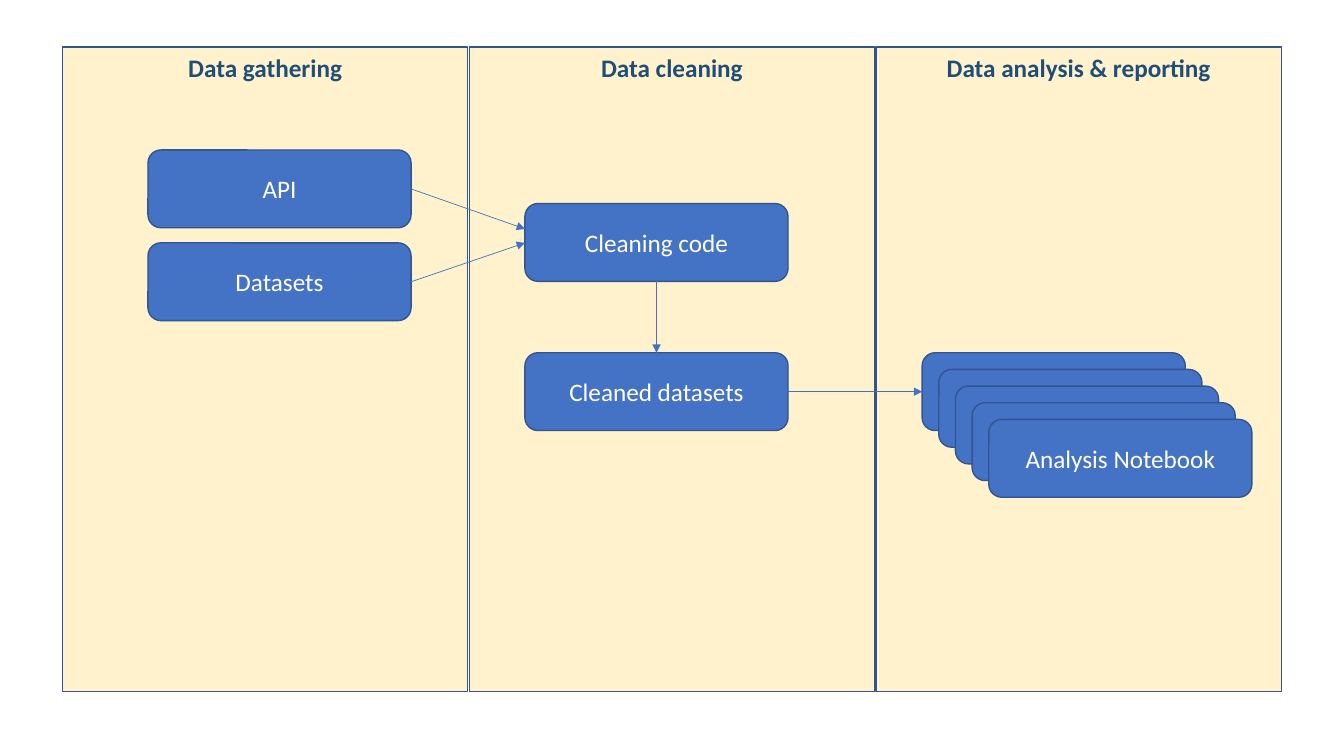
import pptx
import pptx.util
import pptx.dml.color
import pptx.enum.shapes
import pptx.enum.text
import pptx.oxml
import pptx.oxml.ns

Cm = pptx.util.Cm
Pt = pptx.util.Pt
SHAPE = pptx.enum.shapes.MSO_SHAPE
ANCHOR = pptx.enum.text.MSO_ANCHOR

FONT = "Calibri"
BLUE, OUTLINE, CREAM = "4472C4", "325491", "FFF2CC"
NAVY, WHITE = "1F4E79", "FFFFFF"

STAGES = ["Data gathering", "Data cleaning", "Data analysis & reporting"]
STAGE_LEFT, STAGE_TOP, STAGE_W, STAGE_H, STAGE_PITCH = 1.58, 1.19, 10.21, 16.23, 10.25
BOX_W, BOX_H = 6.63, 1.96
GATHER_X, CLEAN_X, ANALYSIS_X = 3.73, 13.23, 23.24
NOTEBOOKS, NOTEBOOK_STEP = 5, 0.42
BOTTOM, RIGHT = 2, 3
TOP, LEFT = 0, 1


def rgb(color):
    return pptx.dml.color.RGBColor.from_string(color)


def add_block(slide, kind, x, y, w, h, fill, text, color, anchor, bold=False):
    sp = slide.shapes.add_shape(kind, Cm(x), Cm(y), Cm(w), Cm(h))
    sp.shadow.inherit = False
    sp.fill.solid()
    sp.fill.fore_color.rgb = rgb(fill)
    sp.line.color.rgb = rgb(OUTLINE)
    sp.line.width = Pt(1)
    if text:
        tf = sp.text_frame
        tf.text = text
        tf.word_wrap = True
        tf.vertical_anchor = anchor
        p = tf.paragraphs[0]
        p.alignment = pptx.enum.text.PP_ALIGN.CENTER
        font = p.runs[0].font
        font.name = FONT
        font.size = Pt(18)
        font.bold = bold
        font.color.rgb = rgb(color)
    return sp


def add_stage(slide, x, title):
    return add_block(slide, SHAPE.RECTANGLE, x, STAGE_TOP, STAGE_W, STAGE_H,
                     CREAM, title, NAVY, ANCHOR.TOP, bold=True)


def add_box(slide, x, y, text=""):
    return add_block(slide, SHAPE.ROUNDED_RECTANGLE, x, y, BOX_W, BOX_H,
                     BLUE, text, WHITE, ANCHOR.MIDDLE)


def add_arrow(slide, start, site, x, y):
    line = slide.shapes.add_connector(
        pptx.enum.shapes.MSO_CONNECTOR.STRAIGHT, 0, 0, Cm(x), Cm(y))
    line.begin_connect(start, site)
    line.line.color.rgb = rgb(BLUE)
    line.line.width = Pt(0.5)
    ln = line.line._get_or_add_ln()
    tail = pptx.oxml.parse_xml(
        '<a:tailEnd %s type="triangle"/>' % pptx.oxml.ns.nsdecls("a"))
    ln.append(tail)
    effects = pptx.oxml.parse_xml(
        "<a:effectLst %s/>" % pptx.oxml.ns.nsdecls("a"))
    ln.addnext(effects)
    return line


def main():
    prs = pptx.Presentation()
    prs.slide_width, prs.slide_height = Cm(33.87), Cm(19.05)
    slide = prs.slides.add_slide(prs.slide_layouts[6])

    for i, title in enumerate(STAGES):
        add_stage(slide, STAGE_LEFT + i * STAGE_PITCH, title)

    api = add_box(slide, GATHER_X, 3.78, "API")
    datasets = add_box(slide, GATHER_X, 6.12, "Datasets")
    cleaned = add_box(slide, CLEAN_X, 8.89, "Cleaned datasets")
    code = add_box(slide, CLEAN_X, 5.13, "Cleaning code")

    notebooks = []
    for i in range(NOTEBOOKS):
        text = "Analysis Notebook" if i == NOTEBOOKS - 1 else ""
        shift = i * NOTEBOOK_STEP
        notebooks.append(add_box(slide, ANALYSIS_X + shift, 8.89 + shift, text))

    add_arrow(slide, api, RIGHT, CLEAN_X, 5.77)
    add_arrow(slide, datasets, RIGHT, CLEAN_X, 6.12)
    add_arrow(slide, code, BOTTOM, CLEAN_X, 8.89).end_connect(cleaned, TOP)
    add_arrow(slide, cleaned, RIGHT, ANALYSIS_X, 9.87).end_connect(notebooks[0], LEFT)

    prs.save("out.pptx")


main()
